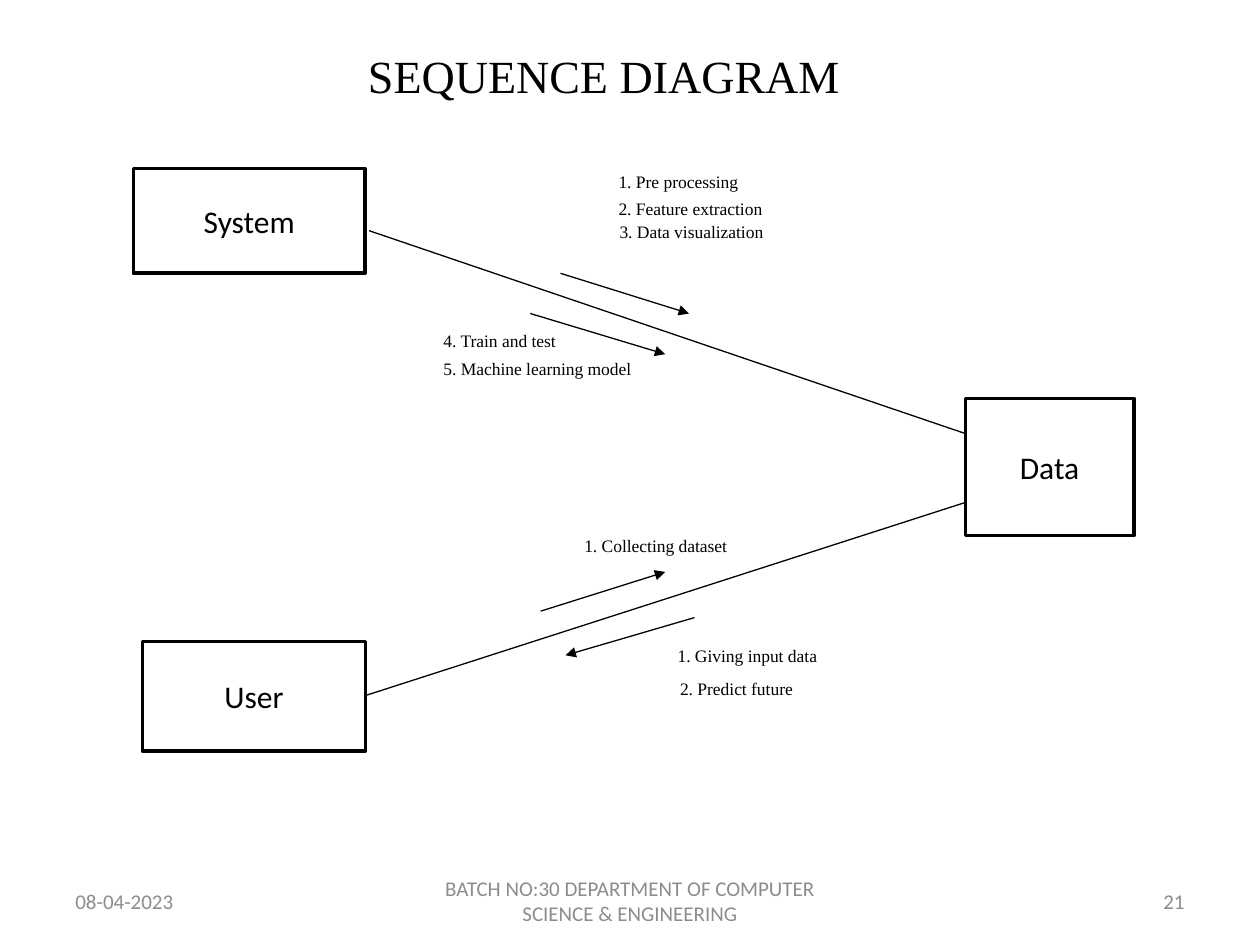
from lxml import etree
from pptx import Presentation
from pptx.dml.color import RGBColor
from pptx.enum.shapes import MSO_CONNECTOR, MSO_SHAPE
from pptx.enum.text import MSO_ANCHOR, PP_ALIGN
from pptx.oxml.ns import qn
from pptx.util import Cm, Pt

LEFT, CENTER, RIGHT = PP_ALIGN.LEFT, PP_ALIGN.CENTER, PP_ALIGN.RIGHT
TOP, MIDDLE = MSO_ANCHOR.TOP, MSO_ANCHOR.MIDDLE
RECTANGLE = MSO_SHAPE.RECTANGLE
STRAIGHT = MSO_CONNECTOR.STRAIGHT
TITLE_ONLY = 5

COLORS = {"ink": "000000", "paper": "FFFFFF", "footer": "8C8C8C"}
SANS, SERIF = "Calibri", "Times New Roman"
NOTE_WIDTH, NOTE_HEIGHT = 6, 0.69


def color(name):
    return RGBColor.from_string(COLORS[name])


def write(shape, text, font=SANS, size=18, ink="ink", align=CENTER, anchor=MIDDLE):
    frame = shape.text_frame
    frame.word_wrap = True
    frame.vertical_anchor = anchor
    para = frame.paragraphs[0]
    para.alignment = align
    span = para.add_run()
    span.text = text
    span.font.name = font
    span.font.size = Pt(size)
    span.font.color.rgb = color(ink)


def add_text(page, box, text, **style):
    write(page.shapes.add_textbox(*map(Cm, box)), text, **style)


def add_line(page, start, end, arrow=False):
    line = page.shapes.add_connector(STRAIGHT, *map(Cm, (*start, *end)))
    line.line.color.rgb = color("ink")
    line.line.width = Pt(0.75)
    properties = line._element.spPr
    if arrow:
        outline = properties.find(qn("a:ln"))
        etree.SubElement(outline, qn("a:tailEnd"), type="triangle")
    etree.SubElement(properties, qn("a:effectLst"))


def add_title(page, box, text):
    title = page.shapes.title
    title.left, title.top, title.width, title.height = map(Cm, box)
    title.text_frame.margin_bottom = Cm(0.38)
    write(title, text, font=SERIF, size=26.3)


def add_participant(page, box, name):
    shape = page.shapes.add_shape(RECTANGLE, *map(Cm, box))
    shape.shadow.inherit = False
    shape.fill.solid()
    shape.fill.fore_color.rgb = color("paper")
    shape.line.color.rgb = color("ink")
    shape.line.width = Pt(2)
    write(shape, name)


def add_exchange(page, origin, link, arrows, notes):
    """Draw a link with its message arrows and notes, all relative to origin."""
    def place(point):
        return origin[0] + point[0], origin[1] + point[1]

    add_line(page, *map(place, link))
    for arrow in arrows:
        add_line(page, *map(place, arrow), arrow=True)
    for point, text in notes:
        add_text(page, (*place(point), NOTE_WIDTH, NOTE_HEIGHT), text,
                 font=SERIF, size=10, align=LEFT, anchor=TOP)


def add_footer(page, box, date, label, number):
    left, top, width, height = box
    side, middle = 5.92, 8.05
    parts = [
        (left, side, date, LEFT),
        (left + (width - middle) / 2, middle, label, CENTER),
        (left + width - side, side, number, RIGHT),
    ]
    for x, part_width, text, align in parts:
        add_text(page, (x, top, part_width, height), text,
                 size=12, ink="footer", align=align)


def main():
    deck = Presentation()
    deck.slide_width, deck.slide_height = Cm(25.4), Cm(19.05)
    page = deck.slides.add_slide(deck.slide_layouts[TITLE_ONLY])

    add_title(page, (0.74, 0.05, 22.86, 3.18), "SEQUENCE DIAGRAM")
    add_exchange(
        page, (7.37, 3.3),
        link=((0.07, 1.35), (12.09, 5.44)),
        arrows=[((3.93, 2.21), (6.52, 3.02)), ((3.32, 3.02), (6.04, 3.84))],
        notes=[
            ((4.85, 0.03), "1. Pre processing"),
            ((4.85, 0.56), "2. Feature extraction"),
            ((4.87, 1.04), "3. Data visualization"),
            ((1.32, 3.23), "4. Train and test"),
            ((1.32, 3.79), "5. Machine learning model"),
        ])
    add_exchange(
        page, (7.37, 10.1),
        link=((0, 3.92), (12.09, 0.03)),
        arrows=[((3.53, 2.22), (6.04, 1.43)), ((6.63, 2.35), (4.03, 3.11))],
        notes=[
            ((4.16, 0.57), "1. Collecting dataset"),
            ((6.04, 2.78), "1. Giving input data"),
            ((6.09, 3.44), "2. Predict future"),
        ])
    add_participant(page, (2.69, 3.4, 4.67, 2.11), "System")
    add_participant(page, (2.87, 12.93, 4.5, 2.21), "User")
    add_participant(page, (19.46, 8.03, 3.4, 2.77), "Data")
    add_footer(page, (1.27, 17.65, 22.86, 1.02), "08-04-2023",
               "BATCH NO:30 DEPARTMENT OF COMPUTER SCIENCE & ENGINEERING", "21")
    deck.save("out.pptx")


if __name__ == "__main__":
    main()
